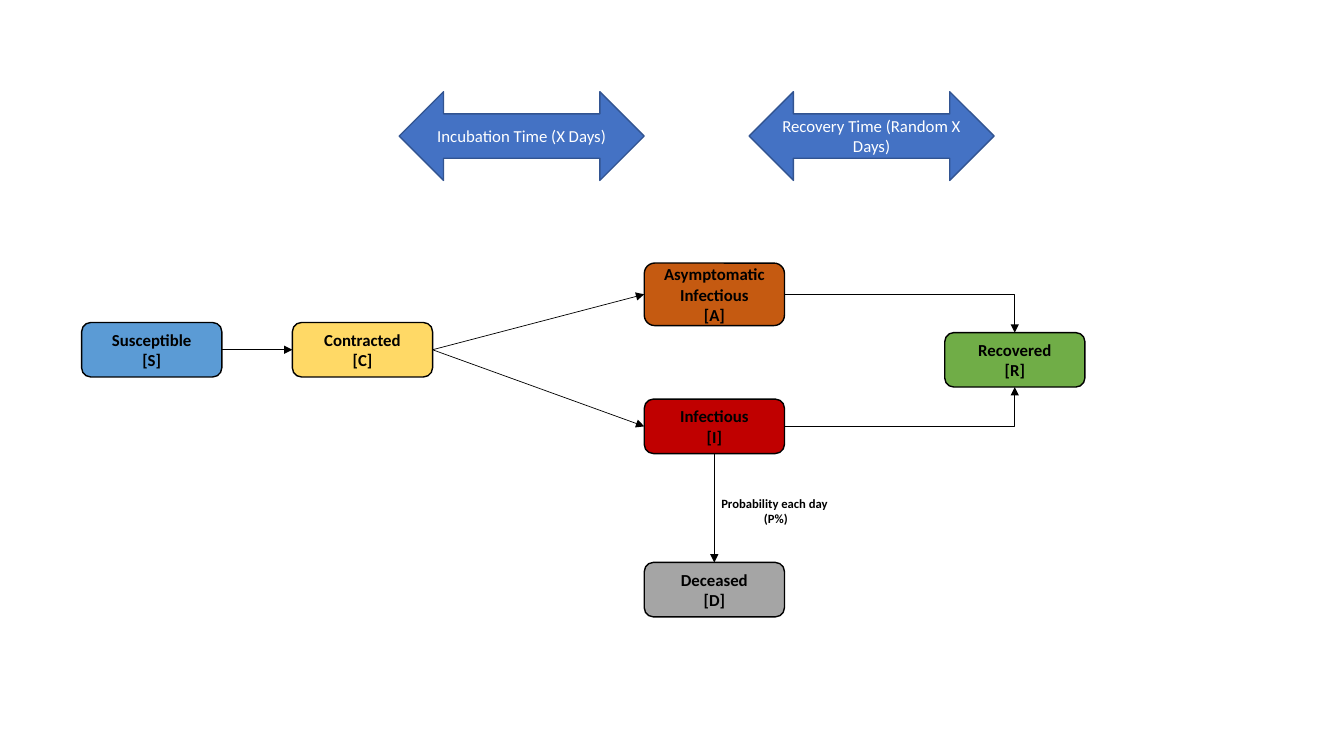
from lxml import etree
from pptx import Presentation
from pptx.dml.color import RGBColor
from pptx.enum.shapes import MSO_CONNECTOR, MSO_SHAPE
from pptx.enum.text import MSO_ANCHOR, MSO_AUTO_SIZE, PP_ALIGN
from pptx.oxml.ns import qn
from pptx.util import Inches, Pt

ROUNDED, DOUBLE_ARROW = MSO_SHAPE.ROUNDED_RECTANGLE, MSO_SHAPE.LEFT_RIGHT_ARROW
STRAIGHT, ELBOW = MSO_CONNECTOR.STRAIGHT, MSO_CONNECTOR.ELBOW
CENTER, MIDDLE, GROW = PP_ALIGN.CENTER, MSO_ANCHOR.MIDDLE, MSO_AUTO_SIZE.SHAPE_TO_FIT_TEXT
TOP, LEFT, BOTTOM, RIGHT = range(4)  # connection sites of a box

THEME = {
    "font": "Calibri", "body": 12, "small": 9, "outline": 1, "link": 0.5,
    "ink": "000000", "white": "FFFFFF", "period": "4472C4", "period line": "325491",
    "blue": "5B9BD5", "yellow": "FFD966", "red": "C00000",
    "orange": "C55A11", "green": "70AD47", "gray": "A5A5A5",
}

# Content: letter -> (name, left, top, height, colour)
BOX_WIDTH, BOX_HEIGHT = 1.39, 0.54
STATES = {
    "S": ("Susceptible", 0.81, 3.2, BOX_HEIGHT, "blue"),
    "C": ("Contracted", 2.9, 3.2, BOX_HEIGHT, "yellow"),
    "I": ("Infectious", 6.39, 3.96, BOX_HEIGHT, "red"),
    "A": ("Asymptomatic Infectious", 6.39, 2.61, 0.62, "orange"),
    "R": ("Recovered", 9.37, 3.3, BOX_HEIGHT, "green"),
    "D": ("Deceased", 6.39, 5.58, BOX_HEIGHT, "gray"),
}
LINKS = [
    ("S", RIGHT, "C", LEFT, STRAIGHT),
    ("C", RIGHT, "A", LEFT, STRAIGHT),
    ("C", RIGHT, "I", LEFT, STRAIGHT),
    ("I", BOTTOM, "D", TOP, STRAIGHT),
    ("A", RIGHT, "R", TOP, ELBOW),
    ("I", RIGHT, "R", BOTTOM, ELBOW),
]
PERIODS = [("Incubation Time (X Days)", 3.96), ("Recovery Time (Random X Days)", 7.43)]
PERIOD_TOP, PERIOD_WIDTH, PERIOD_HEIGHT = 0.91, 2.43, 0.88
DEATH_LABEL = ("Probability each day ", "(P%)")
DEATH_LABEL_AREA = (6.93, 4.87, 1.53, 0.4)


def color(name):
    return RGBColor.from_string(THEME[name])


def add_span(para, text, size, ink, bold):
    para.alignment = CENTER
    span = para.add_run()
    span.text = text
    span.font.name = THEME["font"]
    span.font.size = Pt(THEME[size])
    span.font.bold = bold
    span.font.color.rgb = color(ink)


def add_box(page, kind, area, fill, line, lines, ink, bold):
    box = page.shapes.add_shape(kind, *map(Inches, area))
    box.shadow.inherit = False
    box.fill.solid()
    box.fill.fore_color.rgb = color(fill)
    box.line.color.rgb = color(line)
    box.line.width = Pt(THEME["outline"])
    frame = box.text_frame
    frame.word_wrap = True
    frame.vertical_anchor = MIDDLE
    for index, text in enumerate(lines):
        para = frame.add_paragraph() if index else frame.paragraphs[0]
        add_span(para, text, "body", ink, bold)
    return box


def site_point(box, site):
    x = box.left + {LEFT: 0, RIGHT: box.width}.get(site, box.width // 2)
    y = box.top + {TOP: 0, BOTTOM: box.height}.get(site, box.height // 2)
    return x, y


def add_link(page, source, source_site, target, target_site, kind):
    start, end = site_point(source, source_site), site_point(target, target_site)
    link = page.shapes.add_connector(kind, *start, *end)
    link.begin_connect(source, source_site)
    link.end_connect(target, target_site)
    link.line.color.rgb = color("ink")
    link.line.width = Pt(THEME["link"])
    properties = link.line._get_or_add_ln()
    etree.SubElement(properties, qn("a:tailEnd"), type="triangle")
    shape_properties = properties.getparent()
    etree.SubElement(shape_properties, qn("a:effectLst"))
    if kind == ELBOW:  # a single corner
        shape_properties.find(qn("a:prstGeom")).set("prst", "bentConnector2")


def main():
    deck = Presentation()
    deck.slide_width, deck.slide_height = Inches(13.33), Inches(7.5)
    page = deck.slides.add_slide(deck.slide_layouts[6])

    # States
    boxes = {}
    for letter, (name, left, top, height, fill) in STATES.items():
        area = (left, top, BOX_WIDTH, height)
        boxes[letter] = add_box(page, ROUNDED, area, fill, "ink",
                                (name, f"[{letter}]"), "ink", True)

    # Transitions
    for source, source_site, target, target_site, kind in LINKS:
        add_link(page, boxes[source], source_site, boxes[target], target_site, kind)

    # Time spans
    for text, left in PERIODS:
        area = (left, PERIOD_TOP, PERIOD_WIDTH, PERIOD_HEIGHT)
        add_box(page, DOUBLE_ARROW, area, "period", "period line", (text,), "white", False)

    # Label on the way to Deceased
    frame = page.shapes.add_textbox(*map(Inches, DEATH_LABEL_AREA)).text_frame
    frame.word_wrap = True
    frame.auto_size = GROW
    para = frame.paragraphs[0]
    for index, text in enumerate(DEATH_LABEL):
        if index:
            para.add_line_break()
        add_span(para, text, "small", "ink", True)

    deck.save("out.pptx")


if __name__ == "__main__":
    main()
